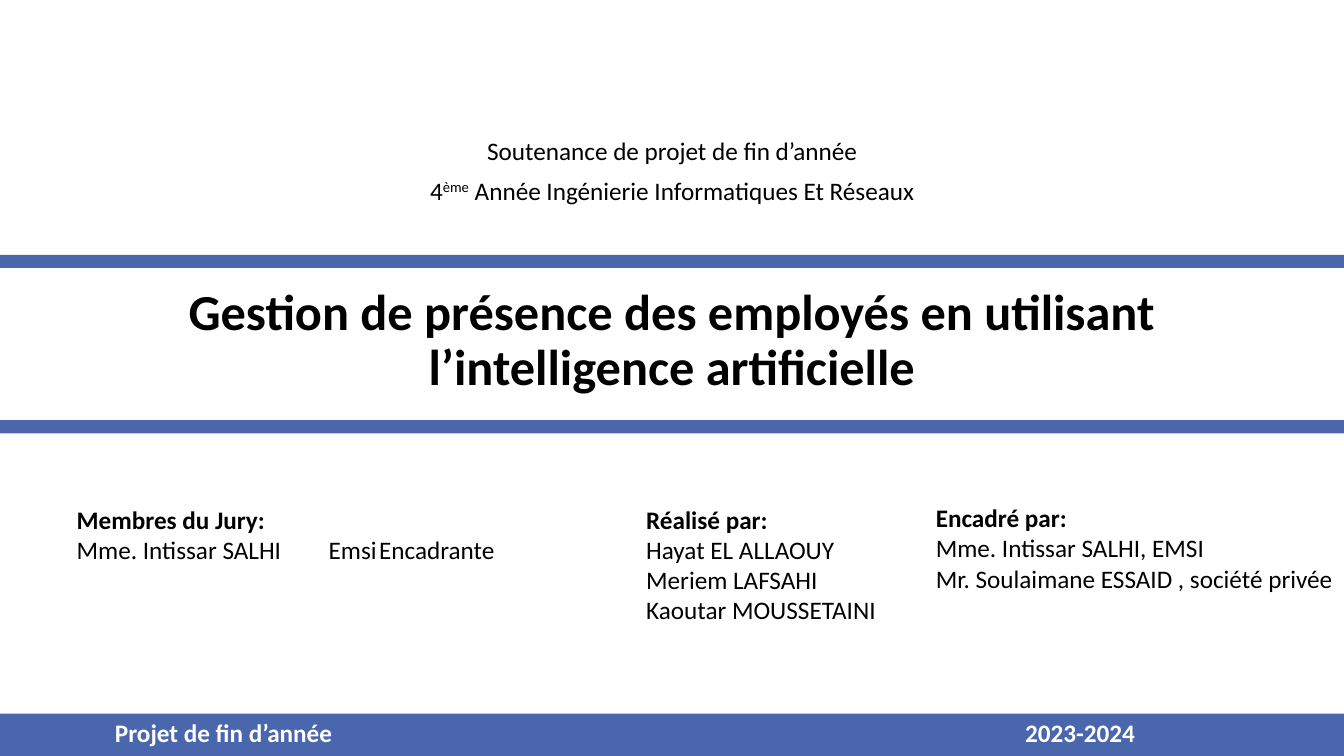
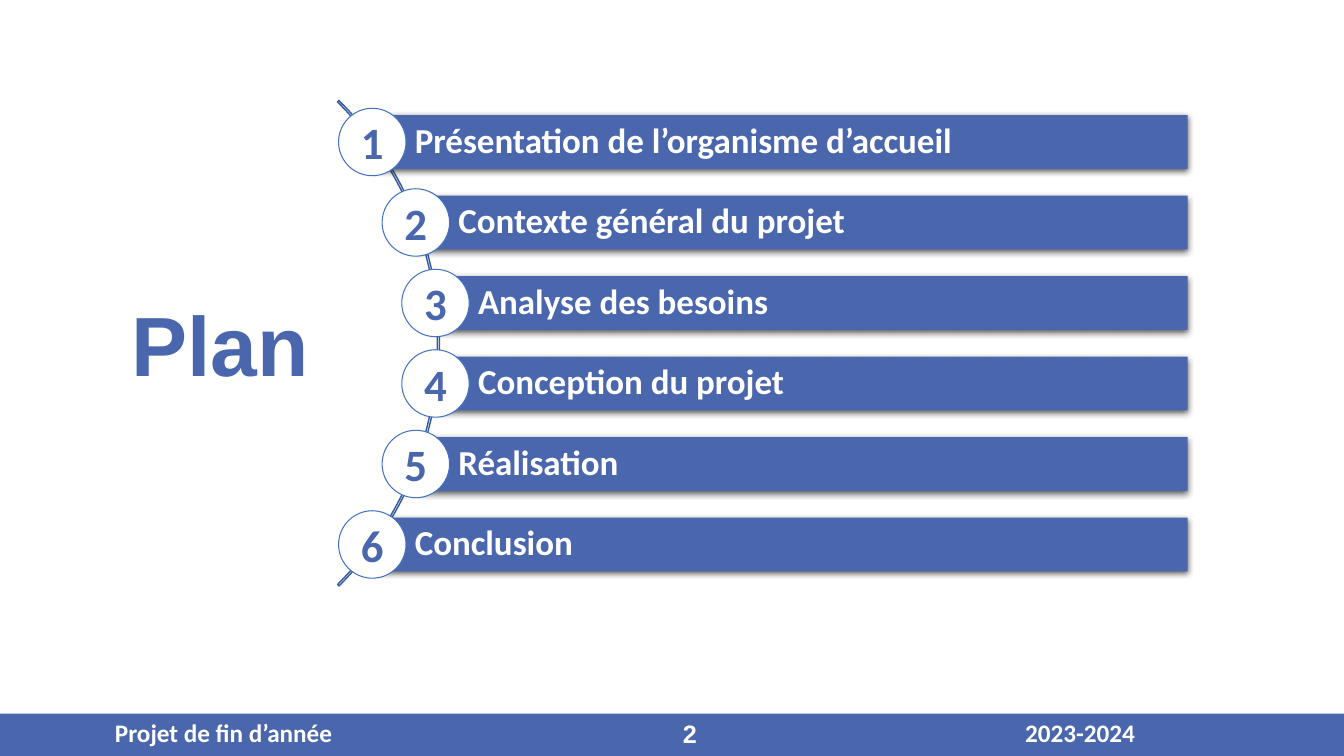
from dataclasses import dataclass, replace
from math import sqrt

from lxml.etree import SubElement
from pptx import Presentation
from pptx.dml.color import RGBColor
from pptx.enum.shapes import MSO_SHAPE
from pptx.enum.text import MSO_ANCHOR, MSO_AUTO_SIZE, PP_ALIGN
from pptx.oxml.ns import qn
from pptx.presentation import Presentation as Deck
from pptx.shapes.autoshape import Shape
from pptx.slide import Slide
from pptx.text.text import TextFrame
from pptx.util import Pt


@dataclass(frozen=True)
class Theme:
    blue: RGBColor = RGBColor(0x4A, 0x66, 0xAC)
    disc_line: RGBColor = RGBColor(0x43, 0x72, 0xC3)
    arc_line: RGBColor = RGBColor(0x34, 0x5A, 0x99)
    black: RGBColor = RGBColor(0, 0, 0)
    white: RGBColor = RGBColor(255, 255, 255)
    body_font: str = "Calibri"
    accent_font: str = "Arial"
    body_size: float = 18
    bar_size: float = 25
    number_size: float = 32
    title_size: float = 36
    plan_size: float = 60


@dataclass(frozen=True)
class Box:
    left: float
    top: float
    width: float
    height: float


@dataclass(frozen=True)
class TextStyle:
    size: float
    color: RGBColor
    font: str
    bold: bool = False
    alignment: PP_ALIGN = PP_ALIGN.LEFT
    line_spacing: float = 1.0


@dataclass(frozen=True)
class Credit:
    heading: str
    lines: tuple[str, ...]
    box: Box


THEME = Theme()
BODY = TextStyle(THEME.body_size, THEME.black, THEME.body_font)
BODY_BOLD = replace(BODY, bold=True)
BODY_CENTERED = replace(BODY, alignment=PP_ALIGN.CENTER)
FOOTER = replace(BODY_BOLD, color=THEME.white)
PAGE_NUMBER = replace(FOOTER, font=THEME.accent_font, alignment=PP_ALIGN.RIGHT)
BAR = replace(FOOTER, size=THEME.bar_size, line_spacing=0.9)
NUMBER = TextStyle(THEME.number_size, THEME.blue, THEME.body_font, True, PP_ALIGN.CENTER)
COVER_TITLE = replace(BODY_BOLD, size=THEME.title_size, alignment=PP_ALIGN.CENTER,
                      line_spacing=0.9)
PLAN_TITLE = replace(NUMBER, size=THEME.plan_size, font=THEME.accent_font)

SLIDE_WIDTH, SLIDE_HEIGHT = 960, 540
FOOTER_TOP = 509.8
WIDE_INSETS = (7.2, 3.6, 7.2, 3.6)
TIGHT_INSETS = (3.6, 0, 2.16, 0)
NO_INSETS = (0, 0, 0, 0)

CREDITS = (
    Credit("Membres du Jury:", ("Mme. Intissar SALHI\tEmsi\tEncadrante",),
           Box(51.2, 360, 401, 44)),
    Credit("Réalisé par:", ("Hayat EL ALLAOUY", "Meriem LAFSAHI", "Kaoutar MOUSSETAINI"),
           Box(458, 360, 208, 87)),
    Credit("Encadré par:", ("Mme. Intissar SALHI, EMSI",
                            "Mr. Soulaimane ESSAID , société privée"),
           Box(664.8, 358.8, 294.5, 87)),
)
CHAPTERS = (
    "Présentation de l’organisme d’accueil",
    "Contexte général du projet",
    "Analyse des besoins",
    "Conception du projet",
    "Réalisation",
    "Conclusion",
)
ARC_CENTER_X, ARC_CENTER_Y = 68.8, 245.2
ARC_RADIUS = 245.2
DISC_ORBIT = 244
DISC_DIAMETER = 48.2
ROW_PITCH = 57.5
BAR_HEIGHT = 38.4
BAR_RIGHT = 848.3


def place(shape: Shape, box: Box) -> None:
    shape.left, shape.top = Pt(box.left), Pt(box.top)
    shape.width, shape.height = Pt(box.width), Pt(box.height)


def write(text_frame: TextFrame, text: str, style: TextStyle,
          insets: tuple[float, float, float, float],
          anchor: MSO_ANCHOR = MSO_ANCHOR.TOP) -> None:
    text_frame.text = text
    text_frame.word_wrap = True
    text_frame.auto_size = MSO_AUTO_SIZE.NONE
    text_frame.vertical_anchor = anchor
    text_frame.margin_left, text_frame.margin_top = Pt(insets[0]), Pt(insets[1])
    text_frame.margin_right, text_frame.margin_bottom = Pt(insets[2]), Pt(insets[3])
    for paragraph in text_frame.paragraphs:
        paragraph.alignment = style.alignment
        paragraph.line_spacing = style.line_spacing
        for run in paragraph.runs:
            run.font.name = style.font
            run.font.size = Pt(style.size)
            run.font.bold = style.bold
            run.font.color.rgb = style.color


def add_text(slide: Slide, box: Box, text: str, style: TextStyle,
             insets: tuple[float, float, float, float] = TIGHT_INSETS,
             anchor: MSO_ANCHOR = MSO_ANCHOR.TOP) -> TextFrame:
    text_box = slide.shapes.add_textbox(
        Pt(box.left), Pt(box.top), Pt(box.width), Pt(box.height))
    write(text_box.text_frame, text, style, insets, anchor)
    return text_box.text_frame


def add_shape(slide: Slide, kind: MSO_SHAPE, box: Box, fill: RGBColor | None = None,
              line: RGBColor | None = None, line_width: float = 1) -> Shape:
    shape = slide.shapes.add_shape(
        kind, Pt(box.left), Pt(box.top), Pt(box.width), Pt(box.height))
    shape.shadow.inherit = False
    if fill is None:
        shape.fill.background()
    else:
        shape.fill.solid()
        shape.fill.fore_color.rgb = fill
    if line is None:
        shape.line.fill.background()
    else:
        shape.line.color.rgb = line
        shape.line.width = Pt(line_width)
    return shape


def add_soft_shadow(shape: Shape) -> None:
    effects = shape._element.spPr.find(qn("a:effectLst"))
    shadow = SubElement(effects, qn("a:outerShdw"), blurRad=str(Pt(4.5)),
                        dist=str(Pt(1.5)), dir="5400000", algn="ctr", rotWithShape="0")
    color = SubElement(shadow, qn("a:srgbClr"), val=str(THEME.black))
    SubElement(color, qn("a:alpha"), val="63000")


def add_band(slide: Slide, top: float, height: float) -> None:
    add_shape(slide, MSO_SHAPE.RECTANGLE, Box(0, top, SLIDE_WIDTH, height), THEME.blue)


def add_footer(slide: Slide) -> None:
    add_band(slide, FOOTER_TOP, SLIDE_HEIGHT - FOOTER_TOP)
    add_text(slide, Box(78.5, 512.6, 193, 21.6), "Projet de fin d’année", FOOTER)
    add_text(slide, Box(728.6, 512.3, 152.6, 21.6), "2023-2024", FOOTER)


def add_page_number(slide: Slide, number: int) -> None:
    """Write the number as a field that follows the slide order."""
    text_frame = add_text(slide, Box(455.8, FOOTER_TOP, 49, 28.8), str(number),
                          PAGE_NUMBER, WIDE_INSETS, MSO_ANCHOR.MIDDLE)
    run = text_frame.paragraphs[0].runs[0]._r
    field = SubElement(run.getparent(), qn("a:fld"), type="slidenum",
                       id="{B6F15528-21DE-4FAA-801E-634DDDAF4B2B}")
    for child in list(run):
        field.append(child)
    run.getparent().replace(run, field)


def add_titled_slide(presentation: Deck, title: str, box: Box, style: TextStyle) -> Slide:
    slide = presentation.slides.add_slide(presentation.slide_layouts[5])
    place(slide.shapes.title, box)
    write(slide.shapes.title.text_frame, title, style, WIDE_INSETS)
    return slide


def add_degree(slide: Slide) -> None:
    text_frame = add_text(slide, Box(288, 121.7, 384.5, 29), "4", BODY_CENTERED, WIDE_INSETS)
    paragraph = text_frame.paragraphs[0]
    for text, baseline in (("ème", "30000"), (" Année Ingénierie Informatiques Et Réseaux", "0")):
        run = paragraph.add_run()
        run.text = text
        run.font.name = BODY.font
        run.font.size = Pt(BODY.size)
        run.font.color.rgb = BODY.color
        run._r.get_or_add_rPr().set("baseline", baseline)


def add_credit(slide: Slide, credit: Credit) -> None:
    text = "\n".join((credit.heading, *credit.lines))
    text_frame = add_text(slide, credit.box, text, BODY)
    text_frame.paragraphs[0].runs[0].font.bold = True


def add_chapter(slide: Slide, index: int, name: str) -> None:
    """Draw one bar whose numbered disc sits on the arc."""
    offset = (index - (len(CHAPTERS) - 1) / 2) * ROW_PITCH
    center_x = ARC_CENTER_X + sqrt(DISC_ORBIT ** 2 - offset ** 2)
    center_y = ARC_CENTER_Y + offset
    bar = add_shape(
        slide, MSO_SHAPE.RECTANGLE,
        Box(center_x, center_y - BAR_HEIGHT / 2, BAR_RIGHT - center_x, BAR_HEIGHT),
        THEME.blue)
    add_soft_shadow(bar)
    write(bar.text_frame, name, BAR, (30.4, 5, 5, 5), MSO_ANCHOR.MIDDLE)
    radius = DISC_DIAMETER / 2
    disc = add_shape(
        slide, MSO_SHAPE.OVAL,
        Box(center_x - radius, center_y - radius, DISC_DIAMETER, DISC_DIAMETER),
        THEME.white, THEME.disc_line, 0.75)
    write(disc.text_frame, str(index + 1), NUMBER, NO_INSETS, MSO_ANCHOR.MIDDLE)


def build_cover(presentation: Deck) -> None:
    slide = add_titled_slide(
        presentation,
        "Gestion de présence des employés en utilisant l’intelligence artificielle",
        Box(51, 201.6, 858, 86.4), COVER_TITLE)
    for top in (182, 300.2):
        add_band(slide, top, 9.4)
    add_text(slide, Box(288, 92.9, 384.5, 29), "Soutenance de projet de fin d’année",
             BODY_CENTERED, WIDE_INSETS)
    add_degree(slide)
    for credit in CREDITS:
        add_credit(slide, credit)
    add_footer(slide)


def build_plan(presentation: Deck) -> None:
    slide = add_titled_slide(presentation, "Plan", Box(78.5, 205.2, 157, 80), PLAN_TITLE)
    add_footer(slide)
    add_page_number(slide, 2)
    arc = add_shape(
        slide, MSO_SHAPE.BLOCK_ARC,
        Box(ARC_CENTER_X - ARC_RADIUS, ARC_CENTER_Y - ARC_RADIUS,
            2 * ARC_RADIUS, 2 * ARC_RADIUS),
        line=THEME.arc_line)
    for index, value in enumerate((189, 27, 0.003)):
        arc.adjustments[index] = value
    for index, name in enumerate(CHAPTERS):
        add_chapter(slide, index, name)


def main() -> None:
    presentation = Presentation()
    presentation.slide_width = Pt(SLIDE_WIDTH)
    presentation.slide_height = Pt(SLIDE_HEIGHT)
    build_cover(presentation)
    build_plan(presentation)
    presentation.save("out.pptx")


if __name__ == "__main__":
    main()
